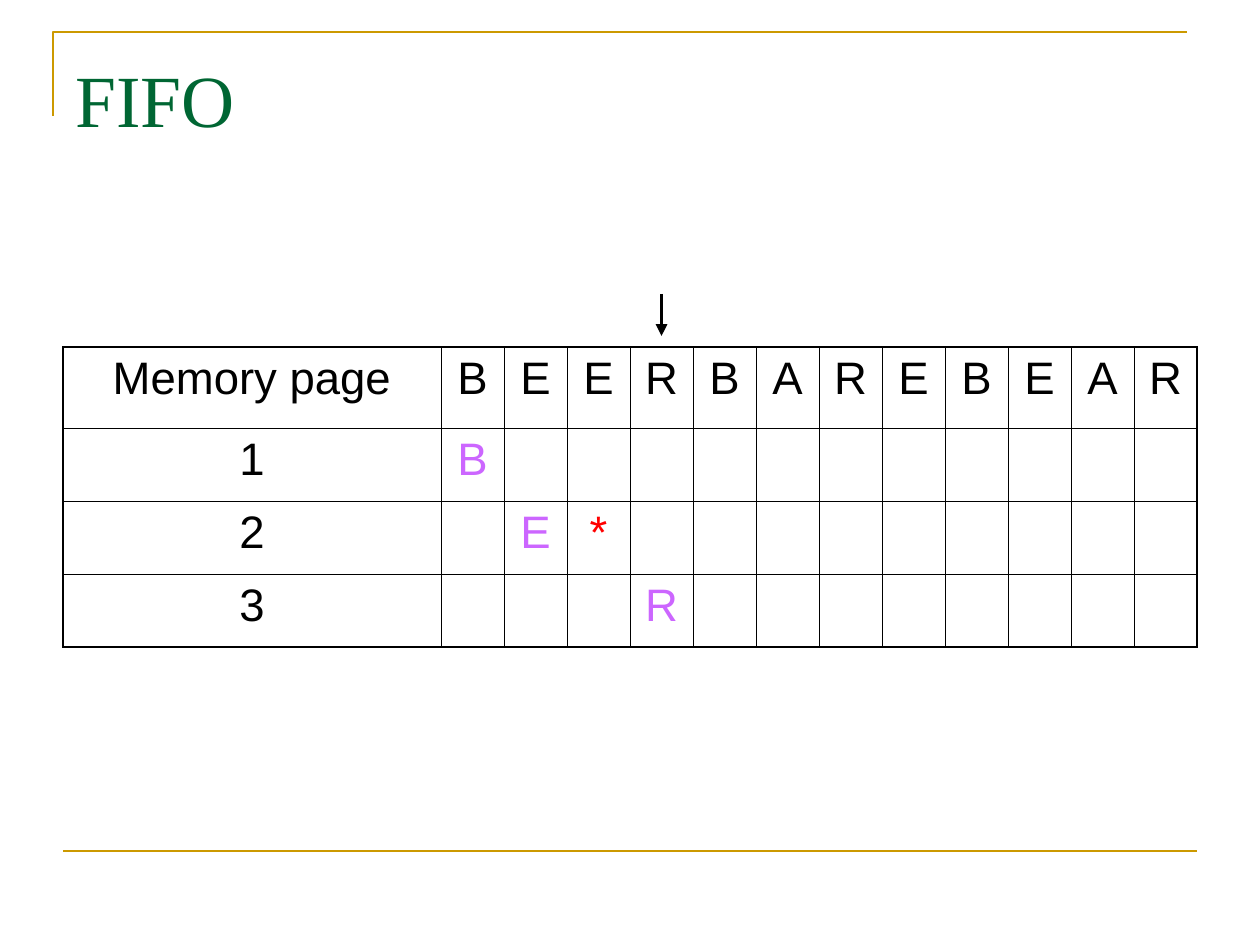
from lxml import etree
from pptx import Presentation, util as u
from pptx.dml.color import RGBColor
from pptx.enum import shapes, text
from pptx.oxml.ns import qn

COLORS = {"gold": "CC9900", "title": "006633", "ink": "000000",
          "load": "CC66FF", "hit": "FF0000"}
TITLE = "FIFO"
REFERENCES = "BEERBAREBEAR"
HEADER = ["Memory page", *REFERENCES]
FRAMES = ["1", "2", "3"]
EVENTS = {(1, 1): ("B", "load"), (2, 2): ("E", "load"),
          (2, 3): ("*", "hit"), (3, 4): ("R", "load")}
CURRENT = 4
LEFT, TOP = 63, 347
WIDTHS = [378] + [63] * len(REFERENCES)
HEIGHTS = [81] + [73] * len(FRAMES)


def px(n):
    return u.Emu(round(n * 914400 / 126))


def rgb(name):
    return RGBColor.from_string(COLORS[name])


def set_font(p, name, size, color):
    p.font.name, p.font.size = name, u.Pt(size)
    p.font.color.rgb = rgb(color)


def add_line(s, x1, y1, x2, y2, color, width):
    c = s.shapes.add_connector(shapes.MSO_CONNECTOR.STRAIGHT,
                               px(x1), px(y1), px(x2), px(y2))
    c.line.color.rgb = rgb(color)
    c.line.width = u.Pt(width)
    etree.SubElement(c._element.spPr, qn("a:effectLst"))
    return c


def add_borders(cell, widths):
    tcPr = cell._tc.get_or_add_tcPr()
    for i, (side, width) in enumerate(widths.items()):
        ln = etree.Element(qn("a:ln" + side), w=str(u.Pt(width)))
        fill = etree.SubElement(ln, qn("a:solidFill"))
        etree.SubElement(fill, qn("a:srgbClr"), val=COLORS["ink"])
        tcPr.insert(i, ln)


def add_frame(s):
    b = s.shapes.build_freeform(px(53), px(116), scale=1.0)
    b.add_line_segments([(px(53), px(32)), (px(1187), px(32))], close=False)
    sp = b.convert_to_shape()
    sp.shadow.inherit = False
    sp.fill.background()
    sp.line.color.rgb = rgb("gold")
    sp.line.width = u.Pt(1.5)
    add_line(s, 63, 851, 1197, 851, "gold", 1.5)


def add_title(s):
    sp = s.shapes.add_textbox(px(63), px(38), px(1134), px(157))
    tf = sp.text_frame
    tf.word_wrap = True
    tf.margin_top = px(16)
    p = tf.paragraphs[0]
    p.text = TITLE
    set_font(p, "Times New Roman", 42, "title")


def add_memory_table(s):
    rows, cols = len(HEIGHTS), len(WIDTHS)
    table = s.shapes.add_table(rows, cols, px(LEFT), px(TOP),
                               px(sum(WIDTHS)), px(sum(HEIGHTS))).table
    table.first_row = table.horz_banding = False
    for col, w in zip(table.columns, WIDTHS):
        col.width = px(w)
    for row, h in zip(table.rows, HEIGHTS):
        row.height = px(h)
    content = {(0, c): (label, "ink") for c, label in enumerate(HEADER)}
    content.update({(r, 0): (label, "ink") for r, label in enumerate(FRAMES, 1)})
    content.update(EVENTS)
    for r in range(rows):
        for c in range(cols):
            cell = table.cell(r, c)
            cell.fill.background()
            outer = {"L": c == 0, "R": c == cols - 1,
                     "T": r == 0, "B": r == rows - 1}
            add_borders(cell, {k: 1.08 if v else 0.45 for k, v in outer.items()})
            label, color = content.get((r, c), ("", "ink"))
            p = cell.text_frame.paragraphs[0]
            p.text = label
            p.alignment = text.PP_ALIGN.CENTER
            set_font(p, "Arial", 26, color)


def add_pointer(s):
    x = LEFT + sum(WIDTHS[:CURRENT]) + WIDTHS[CURRENT] / 2
    c = add_line(s, x, 294, x, 336, "ink", 2.25)
    etree.SubElement(c.line._get_or_add_ln(), qn("a:tailEnd"), type="triangle")


def main():
    prs = Presentation()
    prs.slide_width, prs.slide_height = px(1260), px(945)
    s = prs.slides.add_slide(prs.slide_layouts[6])
    add_frame(s)
    add_title(s)
    add_memory_table(s)
    add_pointer(s)
    prs.save("out.pptx")


if __name__ == "__main__":
    main()
